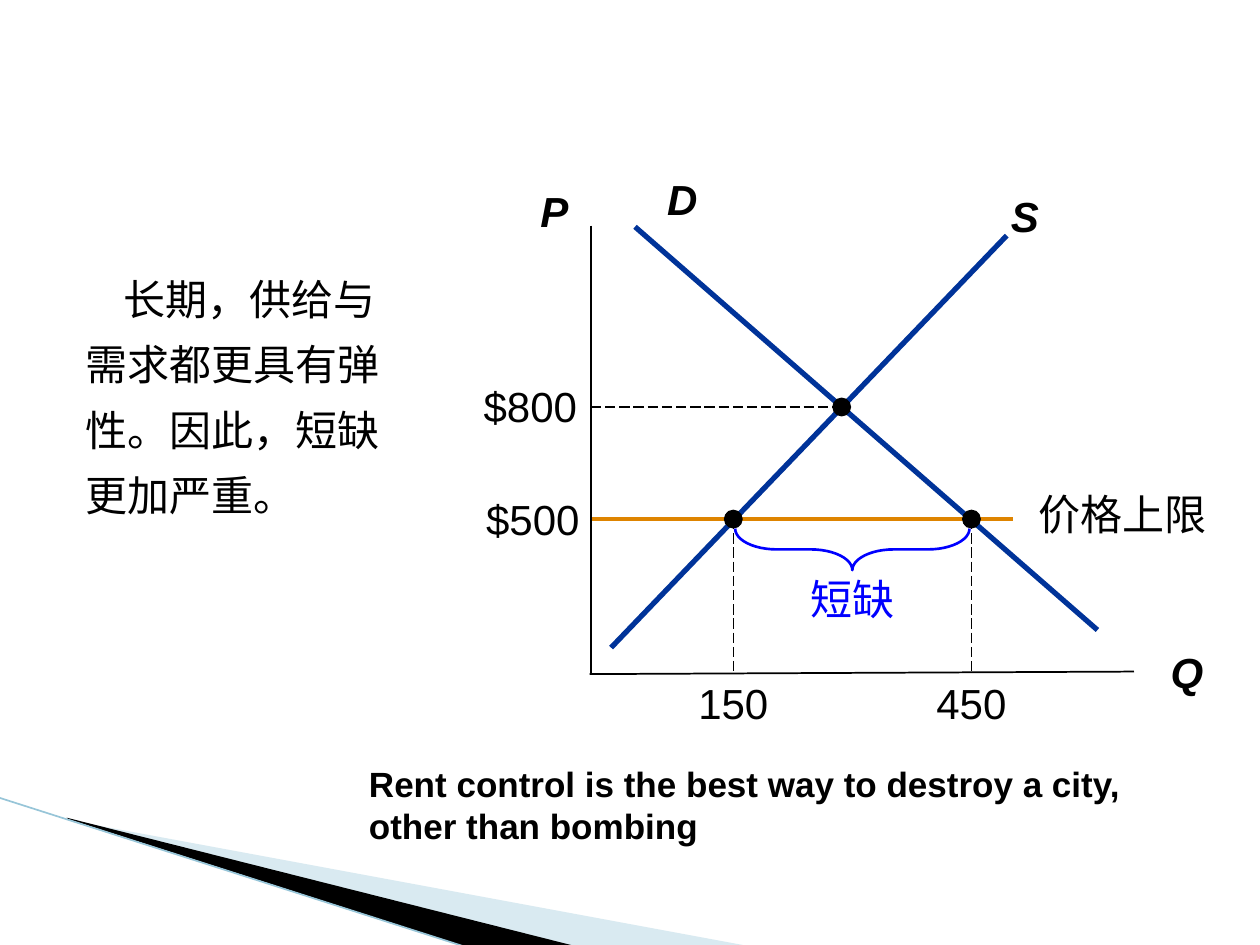
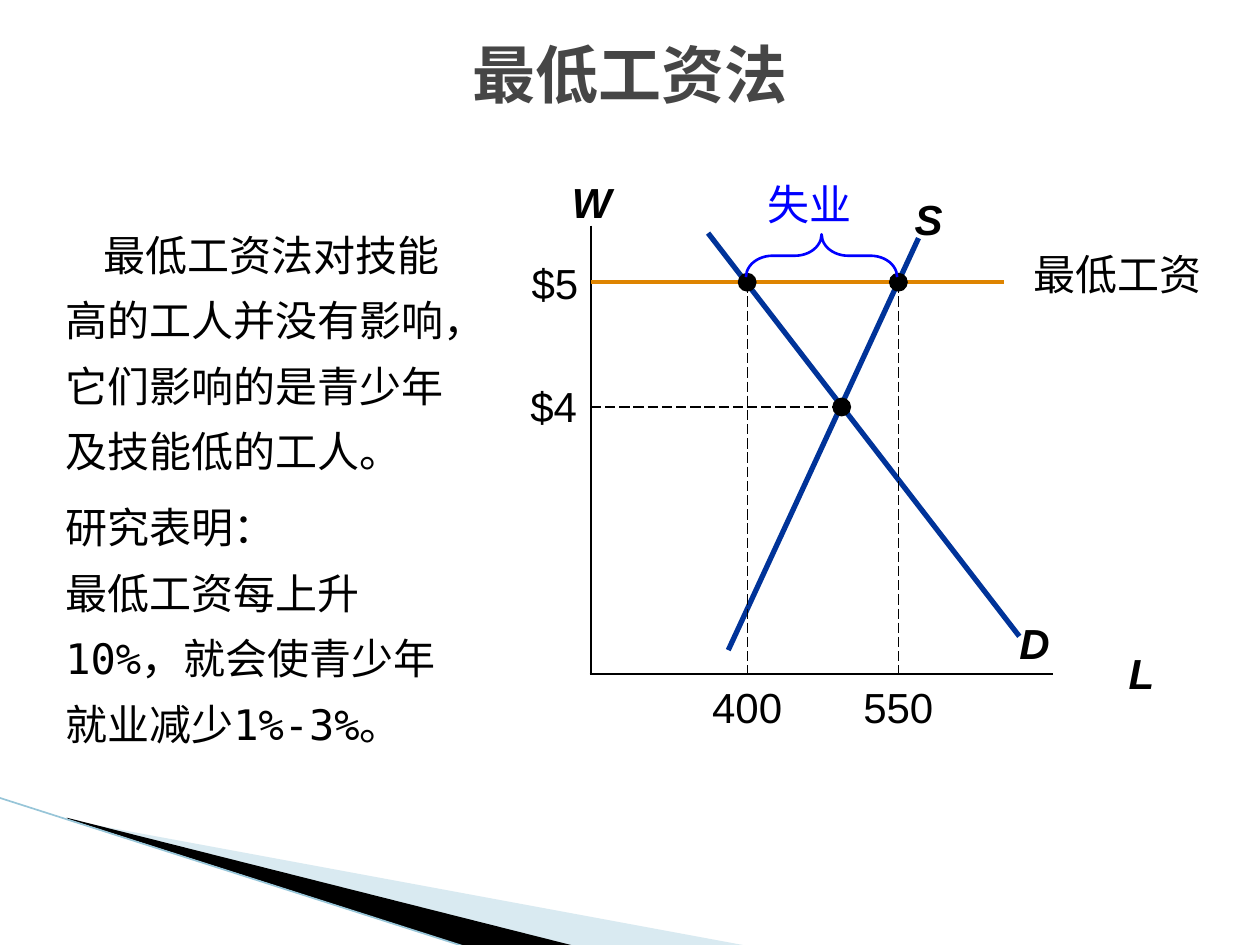
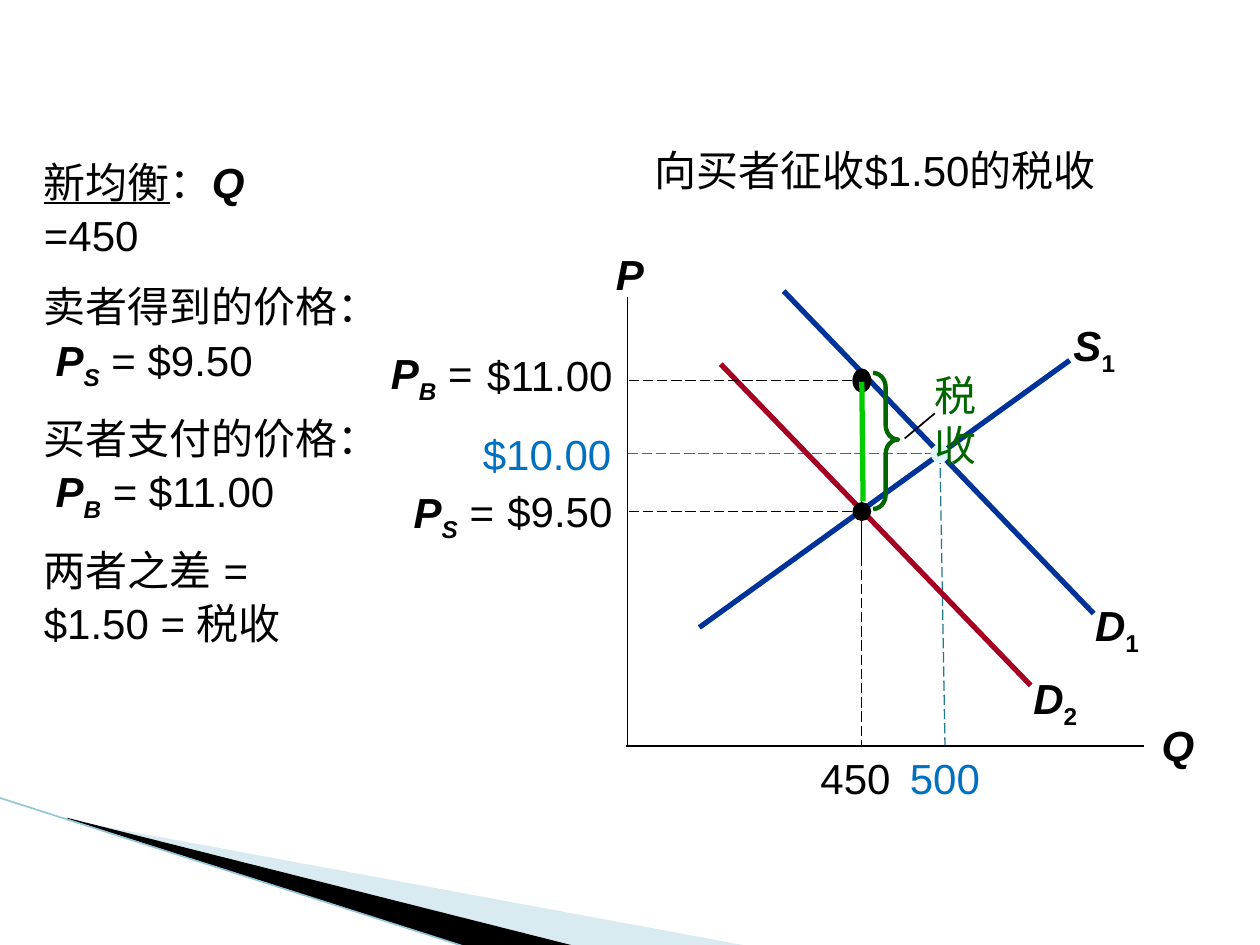
from lxml import etree
from pptx import Presentation
from pptx.dml.color import RGBColor
from pptx.enum.dml import MSO_LINE
from pptx.enum.shapes import MSO_CONNECTOR, MSO_SHAPE
from pptx.enum.text import MSO_ANCHOR, PP_ALIGN
from pptx.oxml.ns import qn
from pptx.util import Inches, Pt

STRAIGHT = MSO_CONNECTOR.STRAIGHT
OVAL, BRACE, RECTANGLE = MSO_SHAPE.OVAL, MSO_SHAPE.LEFT_BRACE, MSO_SHAPE.RECTANGLE
LEFT, CENTER, RIGHT = PP_ALIGN.LEFT, PP_ALIGN.CENTER, PP_ALIGN.RIGHT
TOP, MIDDLE = MSO_ANCHOR.TOP, MSO_ANCHOR.MIDDLE
LONG_DASH = MSO_LINE.LONG_DASH

BLACK = RGBColor(0x00, 0x00, 0x00)
WHITE = RGBColor(0xFF, 0xFF, 0xFF)
TITLE_GRAY = RGBColor(0x46, 0x46, 0x46)
PALE_BLUE = RGBColor(0xA0, 0xCB, 0xDC)
EDGE_BLUE = RGBColor(0x97, 0xC5, 0xD8)
CURVE_BLUE = RGBColor(0x00, 0x33, 0x99)
SHIFTED_RED = RGBColor(0xA5, 0x00, 0x21)
LIMIT_ORANGE = RGBColor(0xDE, 0x84, 0x00)
GAP_BLUE = RGBColor(0x00, 0x00, 0xFF)
OLD_TEAL = RGBColor(0x22, 0x7A, 0x8F)
OLD_PALE = RGBColor(0xDE, 0xF5, 0xFA)
OLD_BLUE = RGBColor(0x00, 0x70, 0xC0)
TAX_GREEN = RGBColor(0x00, 0x66, 0x00)
WEDGE_GREEN = RGBColor(0x00, 0xCC, 0x00)

SANS, MONO = "Arial", "DejaVu Sans Mono"
PADDED = (0.1, 0.05, 0.1, 0.05)
FLUSH = (0, 0, 0, 0)
FLUSH_LEFT = (0, 0, 0.1, 0)


def write_text(frame, paragraphs, size=24, font=SANS, color=BLACK, flags="",
               align=LEFT, anchor=TOP, inset=PADDED, spacing=None,
               before=None, before_percent=None, indent=0):
    """Flags are b bold, i italic, u underlined and s subscript."""
    frame.word_wrap = True
    frame.vertical_anchor = anchor
    (frame.margin_left, frame.margin_top,
     frame.margin_right, frame.margin_bottom) = map(Inches, inset)
    if isinstance(paragraphs, str):
        paragraphs = [paragraphs]
    for index, pieces in enumerate(paragraphs):
        paragraph = frame.add_paragraph() if index else frame.paragraphs[0]
        paragraph.alignment = align
        properties = paragraph._p.get_or_add_pPr()
        if spacing:
            paragraph.line_spacing = spacing
        if before:
            paragraph.space_before = Pt(before)
        if before_percent:
            space = properties.get_or_add_spcBef()
            etree.SubElement(space, qn("a:spcPct")).set("val", str(before_percent * 1000))
        if indent and index == 0:
            properties.set("indent", str(Inches(indent)))
        for piece in [pieces] if isinstance(pieces, str) else pieces:
            words, marks = (piece, flags) if isinstance(piece, str) else piece
            for number, line in enumerate(words.split("\n")):
                if number:
                    paragraph.add_line_break()
                run = paragraph.add_run()
                run.text = line
                run.font.size = Pt(size)
                run.font.name = font
                run.font.color.rgb = color
                run.font.bold = "b" in marks
                run.font.italic = "i" in marks
                run.font.underline = "u" in marks
                run_properties = run._r.get_or_add_rPr()
                if "s" in marks:
                    run_properties.set("baseline", "-25000")
                east_asian = etree.SubElement(run_properties, qn("a:ea"))
                east_asian.set("typeface", font)


class Deck:
    def __init__(self):
        self.presentation = Presentation()
        self.presentation.slide_width = Inches(10)
        self.presentation.slide_height = Inches(7.5)
        self.shapes = None

    def new_slide(self):
        blank = self.presentation.slide_layouts[6]
        self.shapes = self.presentation.slides.add_slide(blank).shapes
        self.outline([(0.55, 6.51), (5.95, 7.51), (4.56, 7.51), (0.55, 6.5)],
                     PALE_BLUE, 40)
        self.outline([(0.53, 6.49), (4.57, 7.51), (3.72, 7.52), (0.54, 6.5)], BLACK)
        self.line((-0.01, 6.33), (3.71, 7.52), EDGE_BLUE, 0.95)

    def paint(self, shape, color, opacity=100):
        shape.shadow.inherit = False
        shape.line.fill.background()
        shape.fill.solid()
        shape.fill.fore_color.rgb = color
        if opacity < 100:
            tint = shape._element.spPr.find(qn("a:solidFill"))[0]
            etree.SubElement(tint, qn("a:alpha")).set("val", str(opacity * 1000))

    def outline(self, points, color, opacity=100):
        corners = [(Inches(x), Inches(y)) for x, y in points]
        builder = self.shapes.build_freeform(*corners[0])
        builder.add_line_segments(corners[1:], close=True)
        self.paint(builder.convert_to_shape(), color, opacity)

    def line(self, start, end, color=BLACK, width=1, dash=None):
        connector = self.shapes.add_connector(STRAIGHT, *map(Inches, start + end))
        connector.line.color.rgb = color
        connector.line.width = Pt(width)
        if dash:
            connector.line.dash_style = dash
        etree.SubElement(connector._element.spPr, qn("a:effectLst"))

    def curve(self, start, end, color=CURVE_BLUE):
        self.line(start, end, color, 3)

    def guide(self, start, end, color=BLACK):
        self.line(start, end, color, 0.75, LONG_DASH)

    def axes(self, x, top, bottom, end):
        self.line((x, top), (x, bottom))
        self.line((x - 0.01, bottom + 0.01), end)

    def dot(self, x, y, color=BLACK, height=0.15):
        point = self.shapes.add_shape(OVAL, Inches(x - 0.075), Inches(y - height / 2),
                                      Inches(0.15), Inches(height))
        self.paint(point, color)

    def brace(self, at, color, width, curl, middle=0.5, rotation=0, mirrored=False):
        brace = self.shapes.add_shape(BRACE, *map(Inches, at))
        brace.shadow.inherit = False
        brace.fill.background()
        brace.line.color.rgb = color
        brace.line.width = Pt(width)
        brace.adjustments[0] = curl
        brace.adjustments[1] = middle
        brace.rotation = rotation
        if mirrored:
            brace._element.spPr.xfrm.set("flipH", "1")

    def text(self, paragraphs, at, **style):
        box = self.shapes.add_textbox(*map(Inches, at))
        write_text(box.text_frame, paragraphs, **style)

    def panel(self, paragraphs, at, opacity, **style):
        panel = self.shapes.add_shape(RECTANGLE, *map(Inches, at))
        self.paint(panel, WHITE, opacity)
        write_text(panel.text_frame, paragraphs, **style)

    def symbol(self, letter, left, top, width=0.5, index=None):
        pieces = [(letter, "bi")] + ([(index, "bs")] if index else [])
        self.text([pieces], (left, top, width, 0.5), align=CENTER)

    def price(self, amount, left, top, width=1.02, height=0.4, **style):
        self.text(amount, (left, top, width, height),
                  **{"align": RIGHT, "inset": FLUSH, **style})

    def quantity(self, amount, left, top, width, color=BLACK):
        self.text(amount, (left, top, width, 0.4),
                  align=CENTER, inset=FLUSH, color=color)


def rent_control(deck):
    deck.new_slide()
    deck.text("长期，供给与需求都更具有弹性。因此，短缺更加严重。",
              (0.58, 2, 2.8, 3.42), font=MONO, spacing=1.3, before=4, indent=0.3)
    deck.axes(4.69, 1.79, 5.34, (9, 5.33))
    deck.symbol("P", 4.17, 1.42, 0.46)
    deck.symbol("Q", 9.17, 5.08)
    deck.curve((5.04, 1.8), (8.71, 5))
    deck.symbol("D", 5, 1.33, 0.83)
    deck.curve((4.85, 5.14), (7.99, 1.87))
    deck.symbol("S", 7.56, 1.46, 1.15)
    deck.guide((4.69, 3.23), (6.68, 3.23))
    deck.dot(6.68, 3.23)
    deck.price("$800", 3.56, 3.02)
    deck.line((4.7, 4.12), (8.04, 4.12), LIMIT_ORANGE, 2.25)
    deck.text("价格上限", (8.08, 3.83, 1.66, 0.51), align=CENTER)
    deck.price("$500", 3.56, 3.92, 1.04)
    for amount, x in (("150", 5.82), ("450", 7.71)):
        deck.guide((x, 4.12), (x, 5.34))
        deck.quantity(amount, x - 0.48, 5.38, 0.96)
        deck.dot(x, 4.12)
    deck.brace((6.6, 3.43, 0.33, 1.86), GAP_BLUE, 1.5, 1, rotation=270)
    deck.panel("短缺", (6.09, 4.55, 1.35, 0.4), 70,
               color=GAP_BLUE, align=CENTER, inset=FLUSH)
    deck.text("Rent control is the best way to destroy a city, other than bombing",
              (2.83, 6, 6.92, 0.77), size=20, flags="b")


def minimum_wage(deck):
    deck.new_slide()
    deck.text(["最低工资法对技能高的工人并没有影响，它们影响的是青少年及技能低的工人。",
               "研究表明：\n最低工资每上升10%，就会使青少年就业减少1%-3%。"],
              (0.42, 1.65, 3.26, 4.85), font=MONO, spacing=1.3, before=6, indent=0.3)
    deck.text("最低工资法", (0, 0.23, 10, 0.71), size=36, font=MONO,
              color=TITLE_GRAY, flags="b", align=CENTER, anchor=MIDDLE)
    deck.axes(4.69, 1.79, 5.34, (8.36, 5.35))
    deck.symbol("W", 4.44, 1.35, 0.46)
    deck.symbol("L", 8.81, 5.09)
    deck.curve((5.62, 1.85), (8.09, 5.05))
    deck.symbol("D", 7.93, 4.85, 0.56)
    deck.curve((5.78, 5.16), (7.29, 1.89))
    deck.symbol("S", 7.09, 1.49, 0.56)
    deck.guide((4.69, 3.23), (6.68, 3.23))
    deck.dot(6.68, 3.23)
    deck.price("$4", 3.56, 3.02)
    deck.line((4.69, 2.24), (7.97, 2.24), LIMIT_ORANGE, 2.25)
    deck.text("最低工资", (8, 1.92, 1.74, 0.51), align=CENTER)
    deck.price("$5", 3.57, 2.04)
    for amount, x in (("400", 5.93), ("550", 7.13)):
        deck.guide((x, 2.24), (x, 5.34))
        deck.quantity(amount, x - 0.38, 5.41, 0.76)
        deck.dot(x, 2.24)
    deck.brace((6.35, 1.43, 0.34, 1.2), GAP_BLUE, 1.5, 0.62, rotation=90)
    deck.text("失业", (5.75, 1.42, 1.35, 0.4),
              color=GAP_BLUE, align=CENTER, inset=FLUSH)


def buyer_tax(deck):
    seller_price = [("P", "bi"), ("S", "bis")]
    buyer_price = [("P", "bi"), ("B", "bis")]
    deck.new_slide()
    deck.curve((5.55, 4.98), (8.49, 2.86))
    deck.symbol("S", 8.35, 2.49, 0.67, "1")
    deck.curve((6.22, 2.31), (8.68, 4.87))
    deck.symbol("D", 8.53, 4.71, 0.67, "1")
    deck.guide((4.98, 3.6), (7.46, 3.6), OLD_TEAL)
    deck.guide((7.46, 3.6), (7.5, 5.92), OLD_TEAL)
    deck.dot(7.46, 3.6, OLD_PALE)
    deck.price("$10.00", 3.7, 3.4, 1.25, color=OLD_BLUE, inset=FLUSH_LEFT)
    deck.quantity("500", 7.18, 5.97, 0.64, OLD_BLUE)
    deck.axes(4.98, 2.36, 5.91, (9.08, 5.92))
    deck.symbol("P", 4.77, 1.92, 0.46)
    deck.symbol("Q", 9.1, 5.66)
    deck.curve((5.72, 2.89), (8.18, 5.44), SHIFTED_RED)
    deck.symbol("D", 8.04, 5.29, 0.67, "2")
    deck.guide((6.84, 3.02), (6.84, 4.41))
    deck.guide((4.99, 3.02), (6.85, 3.02))
    deck.dot(6.84, 3.02, height=0.19)
    deck.price("$11.00", 3.68, 2.77, 1.28, 0.51, inset=FLUSH_LEFT)
    deck.price([buyer_price + [" ="]], 2.97, 2.71, 0.88, 0.63, inset=PADDED)
    deck.guide((4.99, 4.06), (6.85, 4.06))
    deck.price("$9.50", 3.93, 3.85, 1.03, inset=FLUSH_LEFT)
    deck.price([seller_price + [" ="]], 3.14, 3.81, 0.88, 0.5, inset=PADDED)
    deck.brace((6.93, 2.96, 0.2, 1.08), TAX_GREEN, 2.5, 0.57, 0.49, mirrored=True)
    deck.text("税收", (7.08, 2.88, 0.77, 0.9), color=TAX_GREEN, align=RIGHT)
    deck.line((7.18, 3.48), (7.42, 3.28))
    deck.text("向买者征收$1.50的税收", (4.82, 1.1, 4.25, 0.5), align=CENTER)
    deck.text([[("新均衡", "u"), "：", ("Q", "bi"), " =450"],
               ["卖者得到的价格： ", *seller_price, " = $9.50"],
               ["买者支付的价格： ", *buyer_price, " = $11.00"],
               "两者之差 = $1.50 = 税收"],
              (0.25, 1.17, 2.58, 5.32), spacing=1.05, before_percent=45)
    deck.dot(6.84, 4.06)
    deck.guide((6.84, 4.07), (6.84, 5.91))
    deck.quantity("450", 6.47, 5.97, 0.64)
    deck.line((6.85, 3.98), (6.84, 3.03), WEDGE_GREEN, 3)


lesson = Deck()
for build in (rent_control, minimum_wage, buyer_tax):
    build(lesson)
lesson.presentation.save("out.pptx")
